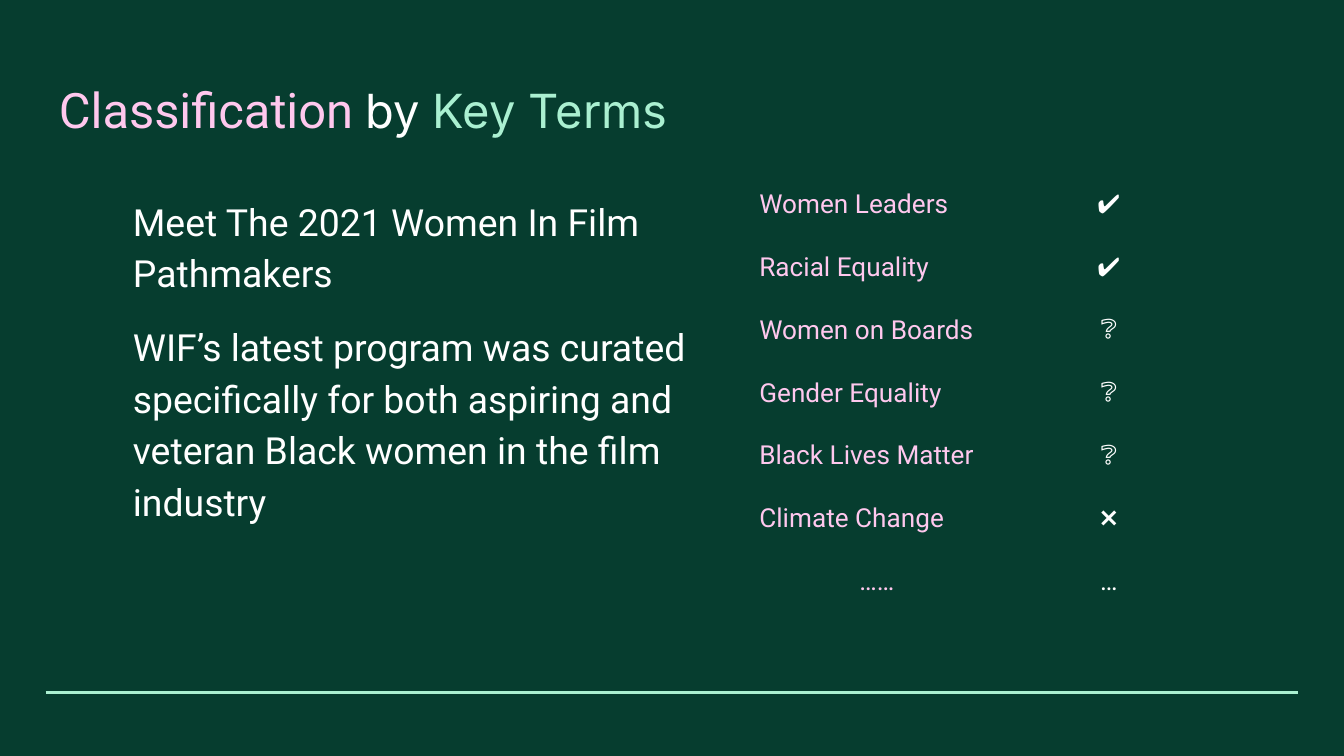
from dataclasses import dataclass

from pptx import Presentation
from pptx.dml.color import RGBColor as Color
from pptx.enum.shapes import MSO_CONNECTOR as Connector
from pptx.enum.text import PP_ALIGN as Align
from pptx.oxml.ns import qn
from pptx.util import Inches, Pt
from lxml.etree import SubElement


@dataclass(frozen=True)
class Theme:
    background: Color = Color.from_string("063D2F")
    pink: Color = Color.from_string("FFC8EE")
    mint: Color = Color.from_string("AAF0D1")
    white: Color = Color.from_string("FFFFFF")
    font: str = "Roboto"
    title_font: str = "Inter"
    title_lead: float = 26.2
    title: float = 25.2
    body: float = 20
    term: float = 14
    unsure: float = 13
    line_spacing: float = 1.15
    paragraph_gap: float = 12
    rule: float = 1.5


THEME = Theme()
WIDTH = 10
HEIGHT = WIDTH * 9 / 16
MARGIN = 0.34
PADDING = Inches(0.1)
TERM_COLUMNS = (1.95, 1.5)
TERM_ROW = 0.39  # least height: rows grow to fit their text
NO_GRID_STYLE = "{2D5ABB26-0587-4C30-8999-92F81FD0307C}"

PASSAGE = (
    "Meet The 2021 Women In Film Pathmakers",
    "WIF’s latest program was curated specifically for both aspiring and "
    "veteran Black women in the film industry",
)
TERMS = (
    ("Women Leaders", "✔️"),
    ("Racial Equality", "✔️"),
    ("Women on Boards", "❔"),
    ("Gender Equality", "❔"),
    ("Black Lives Matter", "❔"),
    ("Climate Change", "❌"),
    ("……", "…"),
)


def style_font(span, size, color, font=THEME.font):
    span.font.name = font
    span.font.size = Pt(size)
    span.font.color.rgb = color


def set_padding(frame):
    frame.margin_left = frame.margin_right = PADDING
    frame.margin_top = frame.margin_bottom = PADDING


def add_text_box(page, left, top, width, height):
    box = page.shapes.add_textbox(
        Inches(left), Inches(top), Inches(width), Inches(height))
    frame = box.text_frame
    frame.word_wrap = True
    set_padding(frame)
    return frame


def add_title(page):
    frame = add_text_box(page, MARGIN, 0.49, WIDTH - 2 * MARGIN, 0.63)
    para = frame.paragraphs[0]
    for text, size, color, font in (
        ("Classification ", THEME.title_lead, THEME.pink, THEME.font),
        ("by ", THEME.title, THEME.white, THEME.title_font),
        ("Key Terms", THEME.title, THEME.mint, THEME.title_font),
    ):
        span = para.add_run()
        span.text = text
        style_font(span, size, color, font)


def add_passage(page):
    frame = add_text_box(page, 0.89, 1.33, 4.55, 3.74)
    frame.text = "\n".join(PASSAGE)
    for index, para in enumerate(frame.paragraphs):
        para.line_spacing = THEME.line_spacing
        if index:
            para.space_before = Pt(THEME.paragraph_gap)
        style_font(para.runs[0], THEME.body, THEME.white)


def fill_cell(cell, text, size, color, align):
    cell.fill.background()
    set_padding(cell)
    para = cell.text_frame.paragraphs[0]
    para.text = text
    para.alignment = align
    para.line_spacing = THEME.line_spacing
    style_font(para.runs[0], size, color)


def add_term_table(page):
    frame = page.shapes.add_table(
        len(TERMS), len(TERM_COLUMNS), Inches(5.55), Inches(1.27),
        Inches(sum(TERM_COLUMNS)), Inches(TERM_ROW * len(TERMS)))
    table = frame.table
    table.first_row = table.horz_banding = False
    # Plain style without borders
    frame._element.find(".//" + qn("a:tableStyleId")).text = NO_GRID_STYLE

    for column, width in zip(table.columns, TERM_COLUMNS):
        column.width = Inches(width)
    for index, (term, mark) in enumerate(TERMS):
        table.rows[index].height = Inches(TERM_ROW)
        term_align = Align.CENTER if term == "……" else Align.LEFT
        mark_size = THEME.unsure if mark == "❔" else THEME.term
        fill_cell(table.cell(index, 0), term, THEME.term, THEME.pink, term_align)
        fill_cell(table.cell(index, 1), mark, mark_size, THEME.white, Align.CENTER)


def add_footer_rule(page):
    level = Inches(5.15)
    rule = page.shapes.add_connector(
        Connector.STRAIGHT, Inches(MARGIN), level, Inches(WIDTH - MARGIN), level)
    rule.line.color.rgb = THEME.mint
    rule.line.width = Pt(THEME.rule)
    SubElement(rule._element.spPr, qn("a:effectLst"))


def main():
    deck = Presentation()
    deck.slide_width, deck.slide_height = Inches(WIDTH), Inches(HEIGHT)
    page = deck.slides.add_slide(deck.slide_layouts[6])
    page.background.fill.solid()
    page.background.fill.fore_color.rgb = THEME.background

    # Heading and passage
    add_title(page)
    add_passage(page)

    # Footer line and key terms
    add_footer_rule(page)
    add_term_table(page)

    deck.save("out.pptx")


if __name__ == "__main__":
    main()
